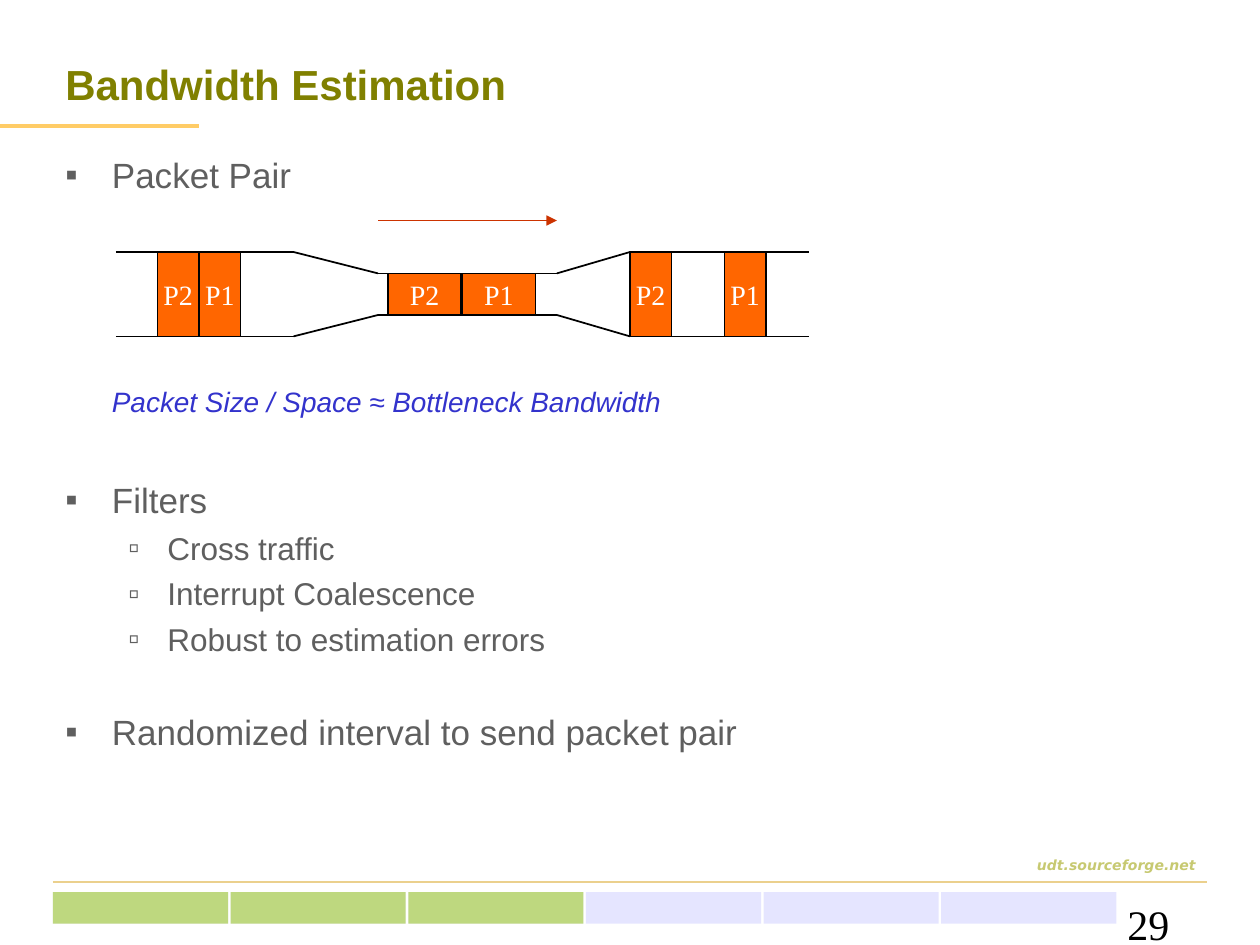
"""Build the Bandwidth Estimation slide with its packet pair diagram."""
from itertools import pairwise

from lxml.etree import SubElement
from pptx import Presentation
from pptx.dml.color import RGBColor as RGB
from pptx.enum.shapes import MSO_CONNECTOR as CONN, MSO_SHAPE as SHAPE
from pptx.enum.text import MSO_ANCHOR as ANCHOR, PP_ALIGN as ALIGN
from pptx.oxml.ns import qn
from pptx.util import Inches, Pt

C = {
    "title": "808000", "body": "5F5F5F", "formula": "3333CC", "site": "C7C971",
    "rule": "FFCC66", "footer": "EBD08D", "todo": "CCCCFF", "done": "99CC00",
    "packet": "FF6600", "arrow": "CC3300", "black": "000000", "white": "FFFFFF",
}


def write(tf, text, size=20, font="Arial", color="body", bold=False, italic=False,
          align=ALIGN.LEFT, bullet=None, margin=0, hang=0, before=0, level=0):
    p = tf.paragraphs[0] if not tf.text else tf.add_paragraph()
    p.level, p.alignment, p.space_before = level, align, Pt(before)
    pPr = p._p.get_or_add_pPr()
    pPr.set("marL", str(Inches(margin)))
    pPr.set("indent", str(-Inches(hang)))
    if bullet:
        SubElement(SubElement(pPr, qn("a:buClr")), qn("a:srgbClr"), val=C[color])
        SubElement(pPr, qn("a:buFont"), typeface=font)
        SubElement(pPr, qn("a:buChar"), char=bullet)
    r = p.add_run()
    r.text = text
    r.font.size, r.font.name = Pt(size), font
    r.font.bold, r.font.italic = bold, italic
    r.font.color.rgb = RGB.from_string(C[color])


def draw_line(start, end, color, width=1):
    cx = s.shapes.add_connector(CONN.STRAIGHT, *map(Inches, start + end))
    cx.line.color.rgb = RGB.from_string(C[color])
    cx.line.width = Pt(width)
    SubElement(cx._element.spPr, qn("a:effectLst"))
    return cx


prs = Presentation()
prs.slide_width, prs.slide_height = Inches(10), Inches(7.5)
s = prs.slides.add_slide(prs.slide_layouts[6])

draw_line((0, 1), (1.58, 1), "rule", 2.25)
draw_line((0.42, 7), (9.58, 7), "footer")

for color, count in (("todo", 6), ("done", 3)):
    for i in range(count):
        sp = s.shapes.add_shape(SHAPE.RECTANGLE, Inches(0.42 + 1.41 * i), Inches(7.08),
                                Inches(1.39), Inches(0.25))
        sp.shadow.inherit = False
        sp.fill.solid()
        sp.fill.fore_color.rgb = RGB.from_string(C[color])
        SubElement(sp._element.spPr.find(".//" + qn("a:srgbClr")), qn("a:alpha"), val="50000")
        sp.line.fill.background()

top = dict(margin=0.37, hang=0.37, bullet="▪")
sub = dict(margin=0.81, hang=0.31, bullet="▫", size=18, before=4.5, level=1)
texts = [
    ((0.42, 6.75, 9.17, 0.25), ANCHOR.TOP, [
        ("udt.sourceforge.net", dict(size=8, font="DejaVu Sans", color="site", bold=True,
                                     italic=True, align=ALIGN.RIGHT))]),
    ((0.42, 0.25, 9.17, 0.83), ANCHOR.MIDDLE, [
        ("Bandwidth Estimation", dict(size=24, color="title", bold=True))]),
    ((0.42, 1.17, 9.17, 0.5), ANCHOR.TOP, [("Packet Pair", top)]),
    ((0.42, 3, 9.17, 0.5), ANCHOR.TOP, [
        ("Packet Size / Space ≈ Bottleneck Bandwidth",
         dict(size=16, color="formula", italic=True, margin=0.37))]),
    ((0.42, 3.75, 9.17, 2.83), ANCHOR.TOP, [
        ("Filters", top),
        ("Cross traffic", sub),
        ("Interrupt Coalescence", sub),
        ("Robust to estimation errors", sub),
        ("Randomized interval to send packet pair", dict(top, before=30))]),
    ((8.85, 7.08, 0.74, 1.3), ANCHOR.TOP, [
        ("29", dict(size=24, font="Times New Roman", color="black"))]),
]
for box, anchor, paragraphs in texts:
    tf = s.shapes.add_textbox(*map(Inches, box)).text_frame
    tf.word_wrap, tf.vertical_anchor = True, anchor
    for text, style in paragraphs:
        write(tf, text, **style)

pipe_x = (0.92, 2.33, 3, 4.42, 5, 6.42)
for wide, narrow in ((2, 2.17), (2.67, 2.5)):
    wall = zip(pipe_x, (wide, wide, narrow, narrow, wide, wide))
    for start, end in pairwise(wall):
        draw_line(start, end, "black")

packets = [
    ("P2", 1.25, 2, 0.33, 0.67), ("P1", 1.58, 2, 0.33, 0.67),
    ("P2", 3.08, 2.17, 0.58, 0.33), ("P1", 3.67, 2.17, 0.58, 0.33),
    ("P2", 5, 2, 0.33, 0.67), ("P1", 5.75, 2, 0.33, 0.67),
]
for name, *box in packets:
    sp = s.shapes.add_shape(SHAPE.RECTANGLE, *map(Inches, box))
    sp.shadow.inherit = False
    sp.fill.solid()
    sp.fill.fore_color.rgb = RGB.from_string(C["packet"])
    sp.line.color.rgb = RGB.from_string(C["black"])
    sp.line.width = Pt(0.75)
    tf = sp.text_frame
    tf.word_wrap, tf.vertical_anchor = False, ANCHOR.MIDDLE
    write(tf, name, size=16, font="Times New Roman", color="white", align=ALIGN.CENTER)

arrow = draw_line((3, 1.75), (4.42, 1.75), "arrow")
SubElement(arrow.line._get_or_add_ln(), qn("a:tailEnd"), type="triangle")

prs.save("out.pptx")
